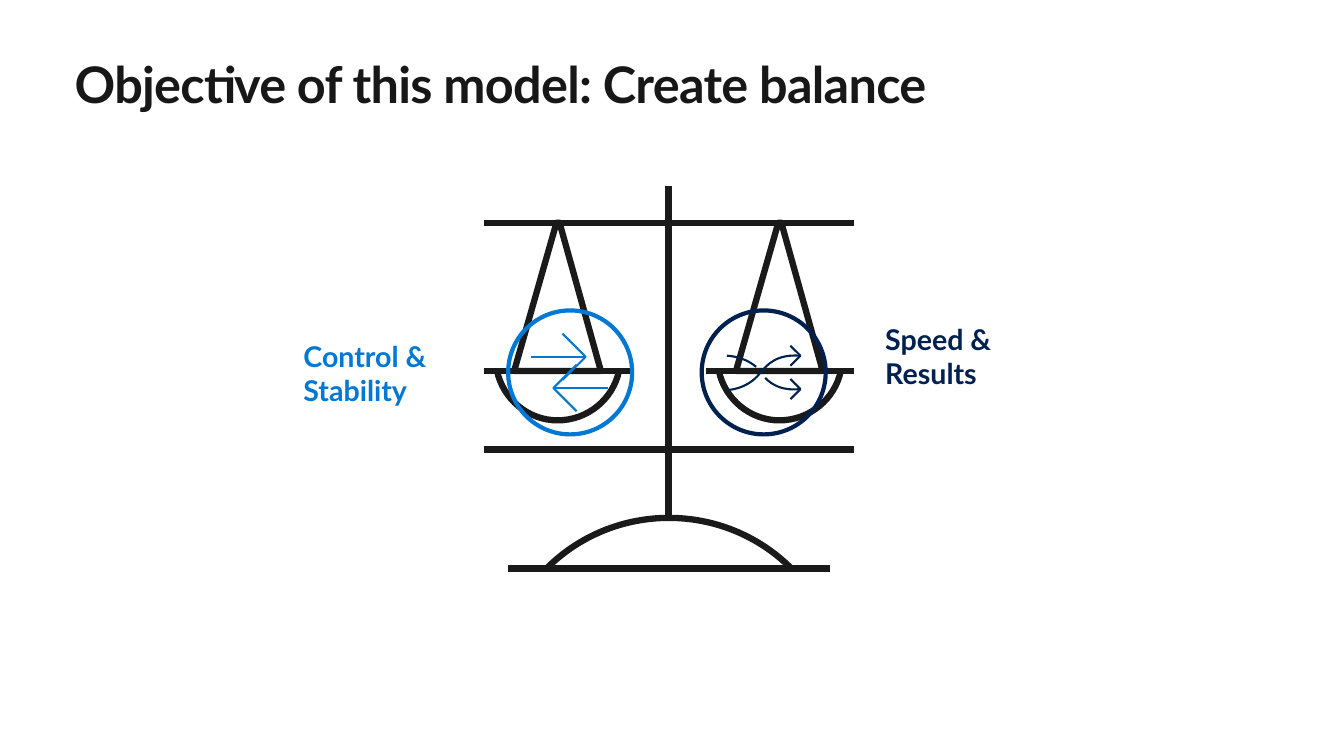
from pptx import Presentation
from pptx.dml.color import RGBColor
from pptx.enum.shapes import MSO_CONNECTOR as LINE, MSO_SHAPE as SHAPE
from pptx.enum.text import MSO_ANCHOR as ANCHOR, MSO_AUTO_SIZE as FIT, PP_ALIGN as ALIGN
from pptx.oxml.ns import qn
from pptx.util import Inches, Pt

TITLE = RGBColor(0x17, 0x17, 0x17)
BLACK = RGBColor(0x1A, 0x1A, 0x1A)
BLUE = RGBColor(0x00, 0x78, 0xD4)
NAVY = RGBColor(0x00, 0x20, 0x50)
PAN_GAP = 2.2


def place(shape, left, top, width, height):
    box = dict(left=left, top=top, width=width, height=height)
    for name, value in box.items():
        setattr(shape, name, Inches(value))


def write(shape, lines, size, color, **frame):
    """Fill a text shape with one paragraph per line."""
    text = shape.text_frame
    frame = dict(word_wrap=True, vertical_anchor=ANCHOR.TOP, **frame)
    for name, value in frame.items():
        setattr(text, name, value)
    text.text = "\n".join(lines)
    style = dict(name="Lato", size=Pt(size), bold=True)
    for para in text.paragraphs:
        para.alignment = ALIGN.LEFT
        para.line_spacing = 1.0
        para.space_before = Pt(0)
        for run in para.runs:
            for name, value in style.items():
                setattr(run.font, name, value)
            run.font.color.rgb = color


def add_title(slide, words):
    title = slide.shapes.title
    place(title, 0.64, 0.48, 12.05, 0.61)
    write(title, [words], 36, TITLE)
    run = title.text_frame.paragraphs[0].runs[0]
    run._r.get_or_add_rPr().set("spc", "-50")


def add_label(slide, lines, color, *box):
    label = slide.shapes.add_textbox(0, 0, 0, 0)
    place(label, *box)
    write(label, lines, 20.4, color, margin_left=0, margin_right=0,
          margin_top=0, margin_bottom=0, auto_size=FIT.SHAPE_TO_FIT_TEXT)


def outline(shape, color, width):
    shape.shadow.inherit = False
    shape.fill.background()
    shape.line.color.rgb = color
    shape.line.width = Pt(width)


def bend(shape, count):
    """Turn the last count line segments, three by three, into Bezier curves."""
    track = next(shape._element.iter(qn("a:path")))
    legs = track.findall(qn("a:lnTo"))[-count:]
    for first in range(0, count, 3):
        trio = legs[first:first + 3]
        arc = track.makeelement(qn("a:cubicBezTo"), {})
        trio[0].addprevious(arc)
        for leg in trio:
            arc.append(leg[0])
            track.remove(leg)


def add_strokes(slide, lines, arcs, color, width):
    """Draw straight strokes and Bezier arcs as one outline.

    A straight stroke that ends where it began is closed.
    """
    pen = None
    for stroke in lines + arcs:
        start, *rest = [(Inches(x), Inches(y)) for x, y in stroke]
        if pen is None:
            pen = slide.shapes.build_freeform(*start)
        else:
            pen.move_to(*start)
        loop = rest[-1] == start
        pen.add_line_segments(rest[:-1] if loop else rest, close=loop)
    shape = pen.convert_to_shape()
    if arcs:
        bend(shape, sum(len(arc) - 1 for arc in arcs))
    outline(shape, color, width)


def pan(left):
    """Tray and ropes of one pan."""
    rim, top = 3.68, (left + 0.75, 2.21)
    ropes = [top, (left + 0.72, 2.21), (left + 0.3, rim), (left + 1.16, rim), top]
    return [[(left, rim), (left + 1.47, rim)], ropes]


def bowl(left):
    knots = ((0.13, 3.68), (0.19, 3.96), (0.44, 4.17), (0.73, 4.17),
             (1.03, 4.17), (1.28, 3.96), (1.34, 3.68))
    return [(left + x, y) for x, y in knots]


def add_scale(slide):
    left, right, mid = 4.8, 8.47, 6.63
    pans = (left, left + PAN_GAP)
    lines = [
        [(left, 2.21), (right, 2.21)],
        [(mid, 1.85), (mid, 5.14)],
        [(5.04, 5.64), (8.23, 5.64)],
    ]
    for side in pans:
        lines += pan(side)
    foot = [(7.85, 5.64), (7.18, 4.97), (6.09, 4.97), (5.42, 5.64)]
    add_strokes(slide, lines, [foot] + [bowl(side) for side in pans], BLACK, 4.5)
    bar = slide.shapes.add_connector(LINE.STRAIGHT, Inches(left), Inches(4.46),
                                     Inches(right), Inches(4.46))
    bar.line.color.rgb = BLACK
    bar.line.width = Pt(4.5)
    props = bar._element.spPr
    props.append(props.makeelement(qn("a:effectLst"), {}))


def add_ring(slide, left, color):
    ring = slide.shapes.add_shape(SHAPE.OVAL, 0, 0, 0, 0)
    place(ring, left, 3.08, 1.23, 1.23)
    outline(ring, color, 3)


def head(x, y, dx, dy):
    """Arrowhead with its tip at x, y."""
    return [(x - dx, y - dy), (x, y), (x - dx, y + dy)]


def add_cross(slide):
    """Two crossing arrows."""
    heads = [head(7.94, y, 0.1, 0.1) for y in (3.53, 3.86)]
    arcs = [
        [(7.94, 3.86), (7.76, 3.88), (7.66, 3.82), (7.59, 3.75)],
        [(7.5, 3.64), (7.37, 3.53), (7.21, 3.53), (7.21, 3.53)],
        [(7.94, 3.53), (7.7, 3.51), (7.61, 3.62), (7.54, 3.7),
         (7.41, 3.87), (7.21, 3.87), (7.21, 3.87)],
    ]
    add_strokes(slide, heads, arcs, NAVY, 1.5)


def add_swap(slide):
    """Two opposed straight arrows."""
    lines = []
    for tip, tail, y, dx in ((5.81, 5.27, 3.54, 0.23), (5.49, 6.03, 3.85, -0.23)):
        lines += [head(tip, y, dx, 0.23), [(tip, y), (tail, y)]]
    add_strokes(slide, lines, [], BLUE, 1.5)


def main():
    deck = Presentation()
    deck.slide_width, deck.slide_height = Inches(13.33), Inches(7.5)
    slide = deck.slides.add_slide(deck.slide_layouts.get_by_name("Title Only"))
    add_title(slide, "Objective of this model: Create balance")
    add_label(slide, ["Control & Stability"], BLUE, 3.01, 3.36, 1.37, 0.69)
    add_label(slide, ["Speed &", "Results"], NAVY, 8.78, 3.19, 1.26, 0.69)
    add_scale(slide)
    add_cross(slide)
    add_ring(slide, 6.96, NAVY)
    add_ring(slide, 5.04, BLUE)
    add_swap(slide)
    deck.save("out.pptx")


if __name__ == "__main__":
    main()
